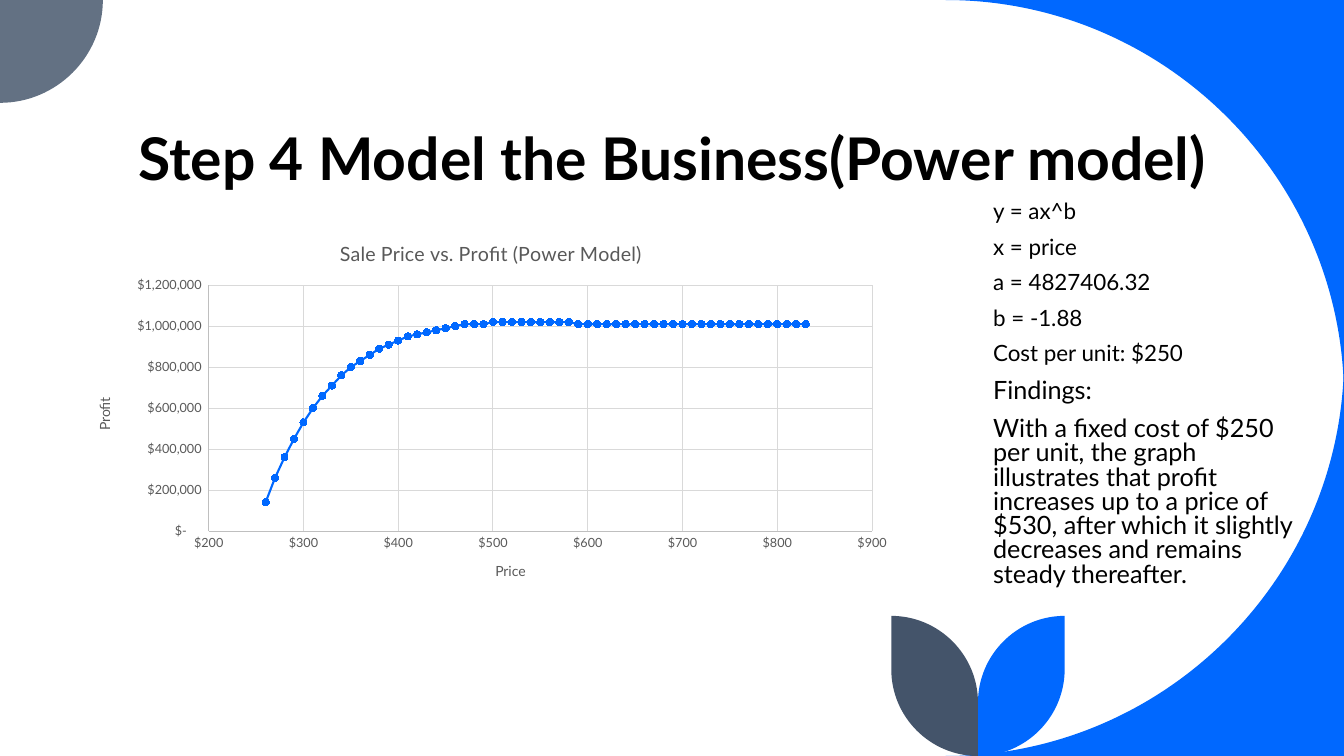
from lxml import etree
from pptx import Presentation
from pptx.chart.data import XyChartData
from pptx.dml.color import RGBColor
from pptx.enum.chart import XL_CHART_TYPE, XL_MARKER_STYLE, XL_TICK_MARK
from pptx.enum.text import MSO_ANCHOR, MSO_AUTO_SIZE, PP_ALIGN
from pptx.oxml import parse_xml
from pptx.oxml.ns import nsdecls, qn
from pptx.util import Inches, Pt

SCATTER_LINES = XL_CHART_TYPE.XY_SCATTER_LINES
CIRCLE = XL_MARKER_STYLE.CIRCLE
NO_TICK = XL_TICK_MARK.NONE
TOP, BOTTOM = MSO_ANCHOR.TOP, MSO_ANCHOR.BOTTOM
NO_AUTOFIT = MSO_AUTO_SIZE.NONE
LEFT = PP_ALIGN.LEFT

FONT = "Lato"
BLUE, SLATE, NAVY = "0068FF", "637183", "44546A"
BLACK, GREY, AXIS_GREY, GRID_GREY = "000000", "595959", "BFBFBF", "D9D9D9"

FORMULAS = ["y = ax^b", "x = price", "a = 4827406.32", "b = -1.88",
            "Cost per unit: $250"]
FINDINGS = ["Findings:",
            "With a fixed cost of $250 per unit, the graph illustrates that "
            "profit increases up to a price of $530, after which it slightly "
            "decreases and remains steady thereafter."]

PRICES = range(260, 840, 10)
PROFITS_IN_THOUSANDS = [
    140, 260, 360, 450, 530, 600, 660, 710, 760, 800, 830, 860, 890, 910,
    930, 950, 960, 970, 980, 990, 1000] + [1010] * 3 + [1020] * 9 + [1010] * 25


def rgb(value):
    return RGBColor.from_string(value)


def format_font(font, size, color, bold=False):
    font.name, font.size, font.bold = FONT, Pt(size), bold
    font.color.rgb = rgb(color)


def add_text(p, text, size=16, color=BLACK, bold=False, before=0):
    p.alignment, p.line_spacing = LEFT, 0.8
    p.space_before, p.space_after = Pt(before), Pt(0)
    r = p.add_run()
    r.text = text
    format_font(r.font, size, color, bold)


def place(s, sp, box, anchor):
    """Position a placeholder and bring it in front of the decoration."""
    sp.left, sp.top, sp.width, sp.height = map(Inches, box)
    tf = sp.text_frame
    tf.word_wrap, tf.auto_size, tf.vertical_anchor = True, NO_AUTOFIT, anchor
    s.shapes.element.append(sp.element)
    return tf


def quarter(start, corner, end):
    """Bezier points of a quarter circle that bulges towards a corner."""
    def towards_corner(point):
        return tuple(a + 0.55 * (c - a) for a, c in zip(point, corner))
    return [start, towards_corner(start), towards_corner(end), end]


def add_outline(s, points, curve_starts, color):
    """Closed outline; each curve start and the next three points are a Bezier."""
    points = [(Inches(x), Inches(y)) for x, y in points]
    builder = s.shapes.build_freeform(*points[0])
    builder.add_line_segments(points[1:], close=True)
    sp = builder.convert_to_shape()
    sp.shadow.inherit = False
    sp.fill.solid()
    sp.fill.fore_color.rgb = rgb(color)
    sp.line.fill.background()

    outline = next(sp.element.iter(qn("a:path")))
    steps = list(outline)
    for start in curve_starts:
        curve = etree.Element(qn("a:cubicBezTo"))
        first, *others = steps[start + 1:start + 4]
        first.addprevious(curve)
        for step in (first, *others):
            curve.append(step[0])
            outline.remove(step)


def add_decoration(s):
    right, bottom, radius = 13.33, 7.5, 3.95
    cx = right - radius
    for edge, middle in ((0, radius), (bottom, bottom - radius)):
        corner = (right, edge)
        add_outline(s, quarter((cx, edge), corner, (right, middle)) + [corner],
                    [0], BLUE)
    size = 1.02
    add_outline(s, quarter((size, 0), (size, size), (0, size)) + [(0, 0)],
                [0], SLATE)

    stem, tip, width = 9.7, 6.11, 0.86
    for side, color in ((stem + width, BLUE), (stem - width, NAVY)):
        leaf = (quarter((side, bottom - width), (side, bottom), (stem, bottom))
                + quarter((stem, tip + width), (stem, tip), (side, tip)))
        add_outline(s, leaf, [0, 4], color)


def add_chart_title(owner, text, size):
    """Title a chart or an axis."""
    r = owner.text_frame.paragraphs[0].add_run()
    r.text = text
    format_font(r.font, size, GREY)


def format_axis(axis, title, low, high, step, number_format):
    axis.minimum_scale, axis.maximum_scale, axis.major_unit = low, high, step
    axis.major_tick_mark = axis.minor_tick_mark = NO_TICK
    axis.has_major_gridlines = True
    for line, color in ((axis.format.line, AXIS_GREY),
                        (axis.major_gridlines.format.line, GRID_GREY)):
        line.color.rgb = rgb(color)
        line.width = Pt(0.75)
    labels = axis.tick_labels
    labels.number_format, labels.number_format_is_linked = number_format, False
    format_font(labels.font, 9, GREY)
    add_chart_title(axis.axis_title, title, 10)


def set_plot_layout(chart, **fractions):
    """Fix the inner plot area as fractions of the chart."""
    plot_area = chart.plots[0]._element.getparent()
    for old in plot_area.findall(qn("c:layout")):
        plot_area.remove(old)
    layout = parse_xml(f"<c:layout {nsdecls('c')}><c:manualLayout/></c:layout>")
    settings = {"layoutTarget": "inner", "xMode": "edge", "yMode": "edge"}
    for name, value in {**settings, **fractions}.items():
        etree.SubElement(layout[0], qn(f"c:{name}")).set("val", str(value))
    plot_area.insert(0, layout)


def add_profit_chart(s):
    data = XyChartData()
    points = data.add_series("Series 1")
    for price, profit in zip(PRICES, PROFITS_IN_THOUSANDS):
        points.add_data_point(price, profit * 1000)
    left, top, width, height = 0.74, 2.21, 8.26, 3.75
    box = map(Inches, (left, top, width, height))
    chart = s.shapes.add_chart(SCATTER_LINES, *box, data).chart
    format_font(chart.font, 10, BLACK)
    chart.has_legend = False
    add_chart_title(chart.chart_title, "Sale Price vs. Profit (Power Model)", 14)
    format_axis(chart.category_axis, "Price", 200, 900, 100, '"$"#,##0')
    format_axis(chart.value_axis, "Profit", 0, 1200000, 200000,
                '_("$"* #,##0_);_("$"* (#,##0);_("$"* "-"??_);_(@_)')
    set_plot_layout(chart, x=1.33 / width, y=0.62 / height,
                    w=6.58 / width, h=2.44 / height)

    chart.plots[0].vary_by_categories = False
    series = chart.plots[0].series[0]
    series.smooth = False
    series.format.line.color.rgb = rgb(BLUE)
    series.format.line.width = Pt(1.5)
    marker = series.marker
    marker.style, marker.size = CIRCLE, 5
    marker.format.fill.solid()
    marker.format.fill.fore_color.rgb = rgb(BLUE)
    marker.format.line.color.rgb = rgb(BLUE)


def add_findings(tf):
    lines = [(t, 16) for t in FORMULAS] + [(t, 18) for t in FINDINGS]
    for i, (text, size) in enumerate(lines):
        p = tf.add_paragraph() if i else tf.paragraphs[0]
        add_text(p, text, size=size, before=10)
        pPr = p._p.get_or_add_pPr()
        pPr.set("marL", "0")
        pPr.set("indent", "0")
        etree.SubElement(pPr, qn("a:buNone"))


def main():
    prs = Presentation()
    prs.slide_width, prs.slide_height = Inches(13.33), Inches(7.5)
    s = prs.slides.add_slide(prs.slide_layouts[1])
    add_decoration(s)

    tf = place(s, s.shapes.title, (1.28, 0.15, 11.08, 1.81), BOTTOM)
    tf.margin_left, tf.margin_bottom = Inches(0.09), Inches(0.06)
    add_text(tf.paragraphs[0], "Step 4 Model the Business(Power model)",
             size=42, bold=True)

    add_findings(place(s, s.placeholders[1], (9.75, 1.96, 3.18, 4.29), TOP))
    add_profit_chart(s)
    prs.save("out.pptx")


if __name__ == "__main__":
    main()
